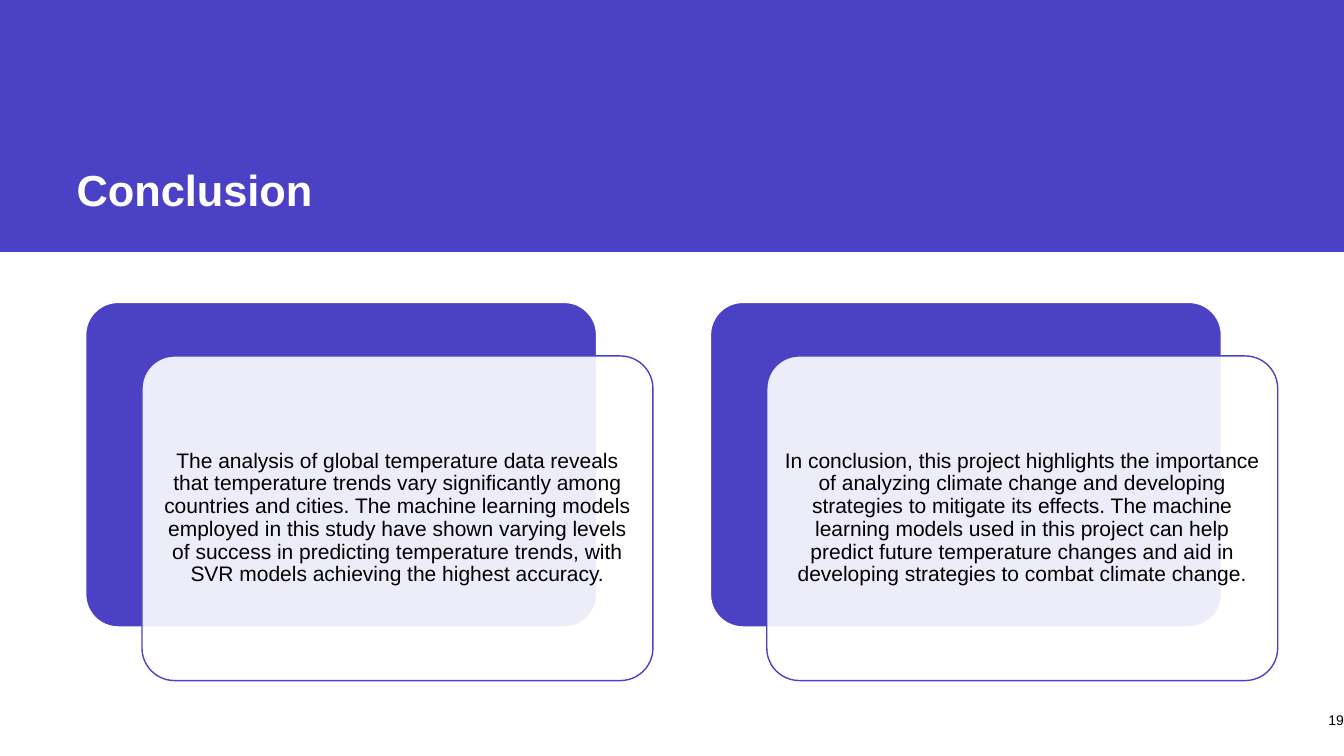
from lxml.etree import SubElement
from pptx import Presentation
from pptx.dml.color import RGBColor
from pptx.enum.shapes import MSO_SHAPE
from pptx.enum.text import MSO_ANCHOR, PP_ALIGN
from pptx.oxml.ns import qn
from pptx.util import Cm, Pt

TITLE = "Conclusion"
PAGE = "19"
CONCLUSIONS = [
    "The analysis of global temperature data reveals that temperature trends vary "
    "significantly among countries and cities. The machine learning models employed "
    "in this study have shown varying levels of success in predicting temperature "
    "trends, with SVR models achieving the highest accuracy.",
    "In conclusion, this project highlights the importance of analyzing climate change "
    "and developing strategies to mitigate its effects. The machine learning models "
    "used in this project can help predict future temperature changes and aid in "
    "developing strategies to combat climate change.",
]

VIOLET, WHITE, BLACK = "4A41C5", "FFFFFF", "000000"
SLIDE_W, SLIDE_H, BAND_H = 33.88, 19.05, 6.35
CARD_X, CARD_Y, CARD_W, CARD_H = 2.16, 7.62, 12.88, 8.18
CARD_STEP = 15.75
PANEL_DX, PANEL_DY = 1.42, 1.35


def color(hex_value):
    return RGBColor.from_string(hex_value)


def add_block(kind, x, y, w, h, fill, line=None):
    s = slide.shapes.add_shape(kind, Cm(x), Cm(y), Cm(w), Cm(h))
    s.shadow.inherit = False
    s.fill.solid()
    s.fill.fore_color.rgb = color(fill)
    if line:
        s.line.color.rgb = color(line)
        s.line.width = Pt(1)
    else:
        s.line.fill.background()
    return s


def add_card(x, y, fill, line):
    s = add_block(MSO_SHAPE.ROUNDED_RECTANGLE, x, y, CARD_W, CARD_H, fill, line)
    s.adjustments[0] = 0.1
    return s


def set_opacity(s, percent):
    rgb = s.fill._xPr.find(qn("a:solidFill")).find(qn("a:srgbClr"))
    SubElement(rgb, qn("a:alpha"), val=str(percent * 1000))


def write(s, text, size, text_color, align, anchor, inset, bold=False, wrap=True):
    tf = s.text_frame
    tf.word_wrap = wrap
    tf.vertical_anchor = anchor
    tf.margin_left = tf.margin_right = tf.margin_top = tf.margin_bottom = Cm(inset)
    p = tf.paragraphs[0]
    p.text = text
    p.alignment = align
    p.line_spacing = 0.9
    p.space_before = Pt(0)
    p.font.name, p.font.size, p.font.bold = "Arial", Pt(size), bold
    p.font.color.rgb = color(text_color)


prs = Presentation()
prs.slide_width, prs.slide_height = Cm(SLIDE_W), Cm(SLIDE_H)
slide = prs.slides.add_slide(prs.slide_layouts[5])

band = add_block(MSO_SHAPE.RECTANGLE, 0, 0, SLIDE_W, BAND_H, VIOLET)
title = slide.shapes.title
band._element.addnext(title._element)  # title in front of the band
title.left, title.top, title.width, title.height = Cm(1.8), Cm(3.99), Cm(9.88), Cm(1.57)
write(title, TITLE, 31, WHITE, PP_ALIGN.LEFT, MSO_ANCHOR.BOTTOM, 0.13, bold=True)

for i, text in enumerate(CONCLUSIONS):
    x = CARD_X + i * CARD_STEP
    add_card(x, CARD_Y, VIOLET, WHITE)
    panel = add_card(x + PANEL_DX, CARD_Y + PANEL_DY, WHITE, VIOLET)
    set_opacity(panel, 90)
    write(panel, text, 15, BLACK, PP_ALIGN.CENTER, MSO_ANCHOR.MIDDLE, 0.14)

number = slide.shapes.add_textbox(Cm(SLIDE_W - 1.88), Cm(17.81), Cm(1.88), Cm(0.74))
write(number, PAGE, 10, BLACK, PP_ALIGN.RIGHT, MSO_ANCHOR.MIDDLE, 0)

prs.save("out.pptx")
